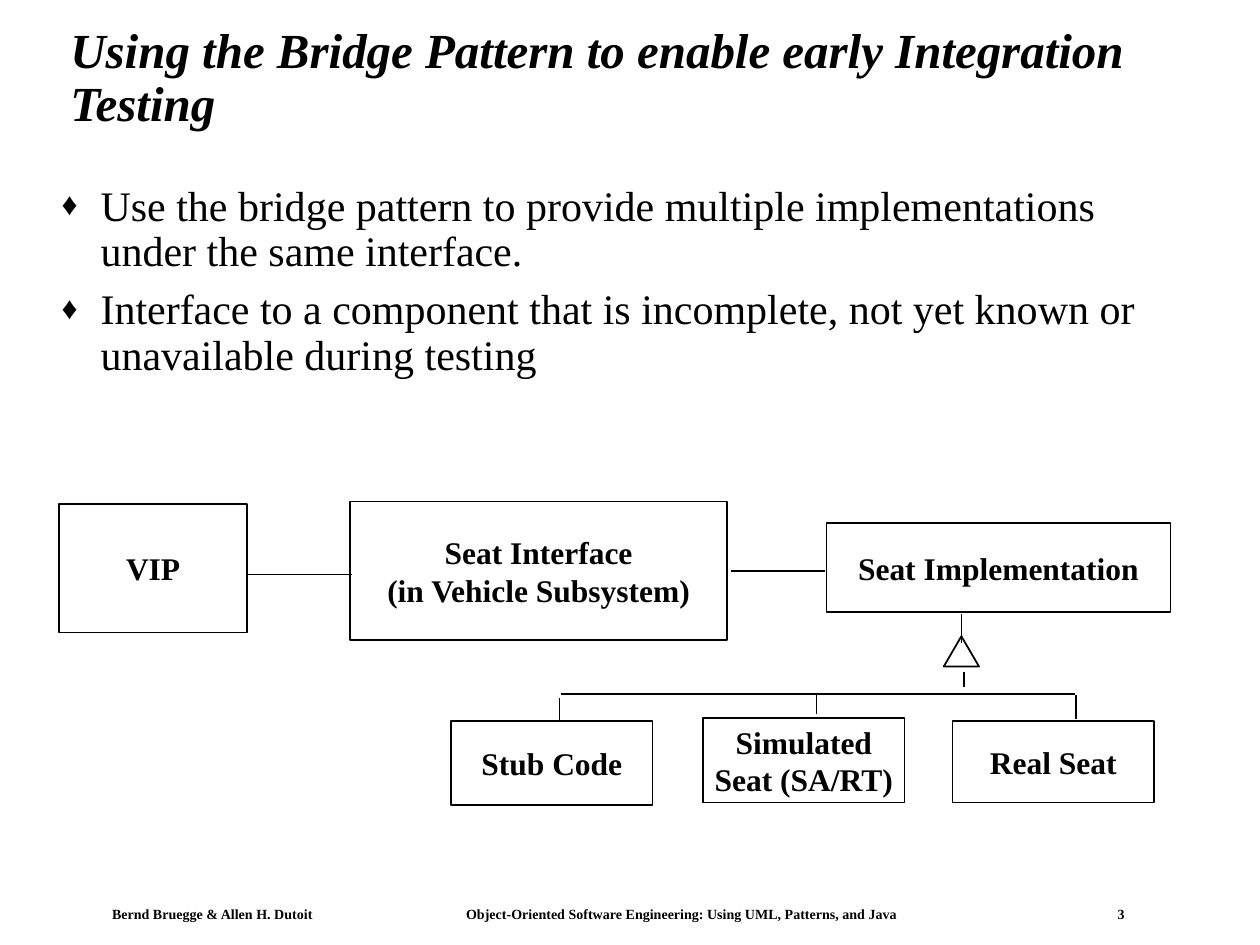
from typing import NamedTuple

from lxml.etree import SubElement
from pptx import Presentation
from pptx.dml.color import RGBColor
from pptx.enum.shapes import MSO_CONNECTOR as Link, MSO_SHAPE as Kind
from pptx.enum.text import MSO_ANCHOR as Anchor, PP_ALIGN as Align
from pptx.oxml.ns import qn
from pptx.util import Inches, Pt

BLACK = RGBColor(0, 0, 0)
WHITE = RGBColor(255, 255, 255)
FACE = "Times New Roman"


class Box(NamedTuple):
    left: float
    top: float
    width: float
    height: float
    lines: tuple[str, ...] = ()
    kind: Kind = Kind.RECTANGLE


class Line(NamedTuple):
    x1: float
    y1: float
    x2: float
    y2: float


TITLE = Box(0.46, 0.24, 8.92, 0.77, (
    "Using the Bridge Pattern to enable early Integration Testing",))
BODY = Box(0.39, 1.42, 9.03, 5.38, (
    "Use the bridge pattern to provide multiple implementations under the same interface.",
    "Interface to a component that is incomplete, not yet known or unavailable during testing"))
FOOTER = Box(0.78, 7.15, 8.27, 0.21, ("\t".join((
    "Bernd Bruegge & Allen H. Dutoit",
    "Object-Oriented Software Engineering: Using UML, Patterns, and Java",
    "3")),))
STOPS = (2.81, 7.98)

BOXES = (
    Box(0.47, 4, 1.49, 1.02, ("VIP",)),
    Box(2.78, 3.98, 2.99, 1.1, ("Seat Interface", "(in Vehicle Subsystem)")),
    Box(6.56, 4.15, 2.73, 0.71, ("Seat Implementation",)),
    Box(3.58, 5.72, 1.6, 0.67, ("Stub Code",)),
    Box(7.56, 5.72, 1.6, 0.65, ("Real Seat",)),
    Box(5.58, 5.7, 1.6, 0.67, ("Simulated", "Seat (SA/RT)")),
    Box(7.49, 5.05, 0.28, 0.24, kind=Kind.ISOSCELES_TRIANGLE),
)
LINES = (
    Line(1.97, 4.56, 2.79, 4.56),
    Line(5.8, 4.53, 6.55, 4.53),
    Line(7.63, 4.87, 7.63, 5.1),
    Line(7.65, 5.33, 7.65, 5.45),
    Line(4.45, 5.51, 8.53, 5.51),
    Line(8.54, 5.52, 8.54, 5.71),
    Line(6.48, 5.52, 6.48, 5.67),
    Line(4.44, 5.54, 4.44, 5.73),
)


def write(frame, lines: tuple[str, ...], size: float, bold: bool = True,
          italic: bool = False, align: Align = Align.LEFT) -> None:
    frame.text = "\n".join(lines)
    for para in frame.paragraphs:
        para.alignment = align
        font = para.font
        font.name, font.size = FACE, Pt(size)
        font.bold, font.italic = bold, italic
        font.color.rgb = BLACK


def add_text(slide, box: Box, size: float, **style):
    shape = slide.shapes.add_textbox(*map(Inches, box[:4]))
    frame = shape.text_frame
    frame.word_wrap = True
    write(frame, box.lines, size, **style)
    return frame


def add_box(slide, box: Box) -> None:
    shape = slide.shapes.add_shape(box.kind, *map(Inches, box[:4]))
    shape.shadow.inherit = False
    shape.fill.solid()
    shape.fill.fore_color.rgb = WHITE
    shape.line.color.rgb = BLACK
    shape.line.width = Pt(1)
    if box.lines:
        frame = shape.text_frame
        frame.word_wrap = False
        frame.vertical_anchor = Anchor.MIDDLE
        write(frame, box.lines, 18, align=Align.CENTER)


def add_line(slide, line: Line) -> None:
    link = slide.shapes.add_connector(Link.STRAIGHT, *map(Inches, line))
    link.line.color.rgb = BLACK
    link.line.width = Pt(1)
    SubElement(link.element.spPr, qn("a:effectLst"))


def add_bullet(para) -> None:
    props = para._p.get_or_add_pPr()
    props.set("marL", str(Inches(0.31)))
    props.set("indent", str(Inches(-0.31)))
    font = props.find(qn("a:defRPr"))
    color = SubElement(props, qn("a:buClr"))
    SubElement(color, qn("a:srgbClr"), val=str(BLACK))
    SubElement(props, qn("a:buSzPct"), val="75000")
    SubElement(props, qn("a:buFont"), typeface=FACE)
    SubElement(props, qn("a:buChar"), char="♦")
    props.append(font)


def add_stops(para, stops: tuple[float, ...]) -> None:
    props = para._p.get_or_add_pPr()
    font = props.find(qn("a:defRPr"))
    tabs = SubElement(props, qn("a:tabLst"))
    for stop in stops:
        SubElement(tabs, qn("a:tab"), pos=str(Inches(stop)), algn="l")
    props.append(font)


def main() -> None:
    """Build the bridge pattern slide and save it."""
    deck = Presentation()
    deck.slide_width, deck.slide_height = Inches(10), Inches(7.5)
    slide = deck.slides.add_slide(deck.slide_layouts[6])

    foot = add_text(slide, FOOTER, 8)
    foot.margin_left, foot.margin_right = Inches(0.11), Inches(0.04)
    foot.margin_top = foot.margin_bottom = Inches(0.04)
    add_stops(foot.paragraphs[0], STOPS)

    title = add_text(slide, TITLE, 28, italic=True)
    title.vertical_anchor = Anchor.MIDDLE
    title.paragraphs[0].line_spacing = 0.9

    body = add_text(slide, BODY, 24, bold=False)
    for para in body.paragraphs:
        add_bullet(para)
        para.line_spacing = 0.9
        para.space_before = Pt(7.2)

    for box in BOXES:
        add_box(slide, box)
    for line in LINES:
        add_line(slide, line)
    deck.save("out.pptx")


if __name__ == "__main__":
    main()
